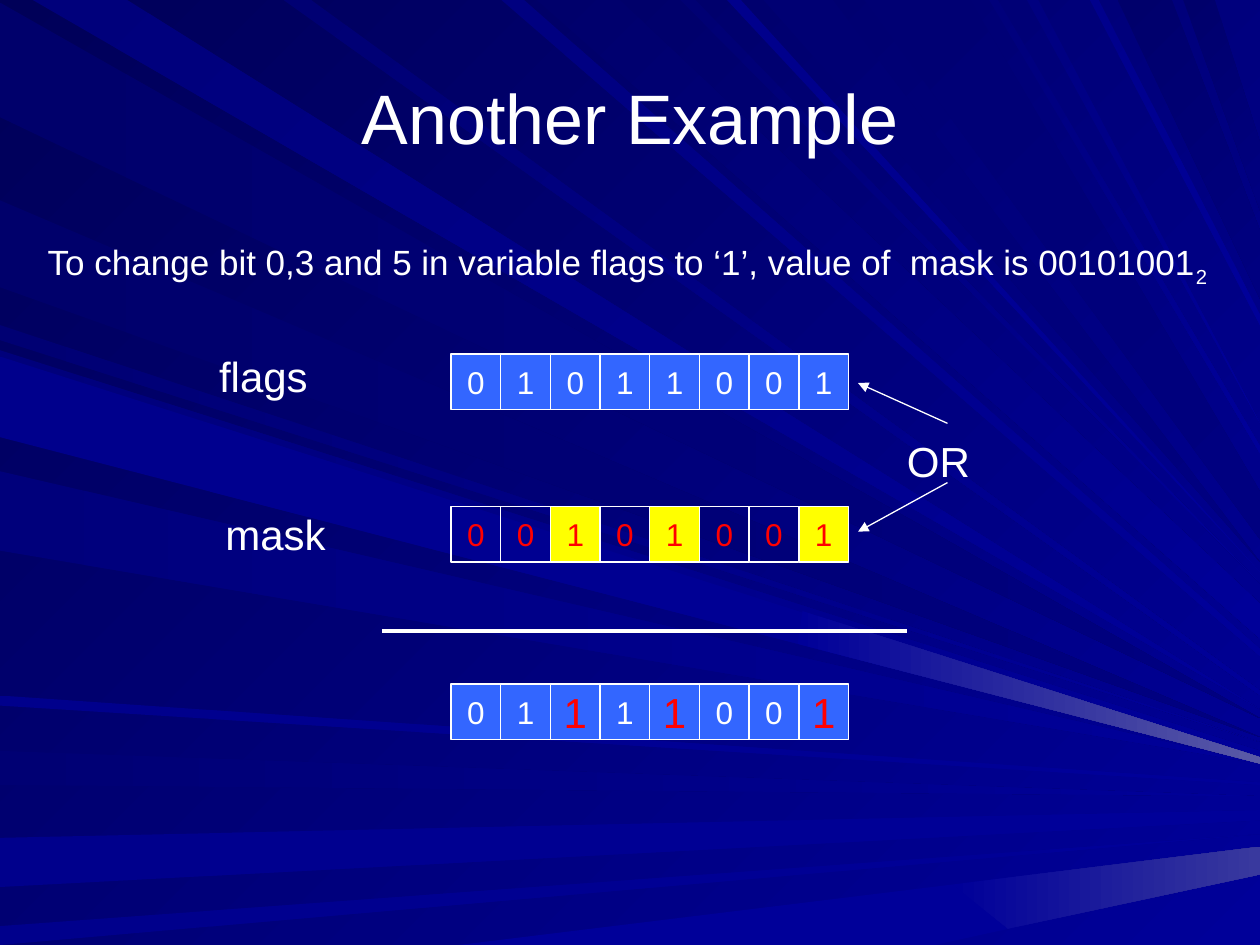
from lxml.etree import SubElement
from pptx import Presentation
from pptx.dml.color import RGBColor as Rgb
from pptx.enum.shapes import MSO_CONNECTOR as Connector, MSO_SHAPE as Shape
from pptx.enum.text import MSO_ANCHOR as Anchor, MSO_AUTO_SIZE as AutoSize, PP_ALIGN as Align
from pptx.oxml.ns import qn
from pptx.util import Inches, Pt

# The grid has 1000 columns and 750 rows, each a hundredth of an inch
UNIT = Inches(0.01)
COLUMNS, ROWS = 1000, 750
COLORS = {"white": "FFFFFF", "red": "FF0000", "yellow": "FFFF00", "blue": "3366FF",
          "night": "000058", "ink": "00006B", "dusk": "000073", "deep": "00007B",
          "navy": "000080", "cobalt": "00008C", "royal": "000099", "haze": "5A5AA6",
          "mist": "39399E"}

# Rays run from a span of one edge to a row on the right edge:
# span start, span end, row at the right, half the height there, colours
LEFT_RAYS = [
    (2, 93, 570, 0, "ink", "navy"),
    (596, 623, 632, 0, "dusk", "royal"),
    (665, 704, 647, 4, "cobalt", "royal"),
    (735, 750, 662, 0, "cobalt", "royal"),
    (258, 270, 589, 0, "dusk", "royal"),
    (159, 228, 585, 0, "ink", "navy"),
    (278, 342, 599, 3, "deep", "royal"),
    (374, 437, 606, 0, "deep", "royal"),
    (552, 560, 622, 1, "cobalt", "royal"),
    (283, 347, 604, 2, "cobalt", "royal"),
]
TOP_RAYS = [
    (26, 101, 563, 0, "deep", "royal"),
    (398, 416, 518, 3, "navy", "royal"),
    (426, 492, 493, 14, "ink", "royal"),
    (540, 552, 463, 0, "dusk", "royal"),
    (606, 661, 446, 0, "dusk", "navy"),
    (887, 930, 210, 27, "ink", "navy"),
    (939, 964, 140, 27, "ink", "navy"),
    (225, 247, 550, 2, "dusk", "royal"),
    (577, 588, 454, 0, "cobalt", "royal"),
    (686, 770, 409, 19, "dusk", "navy"),
    (785, 792, 357, 3, "deep", "royal"),
    (815, 824, 336, 0, "navy", "royal"),
    (865, 872, 254, 4, "cobalt", "royal"),
]
# Lit pieces at the right
SHARDS = [
    ([(364, 750), (756, 702), (801, 737), (742, 750)], "royal", None),
    ([(756, 702), (1000, 672), (1000, 694), (800, 737)], "royal", "mist"),
    ([(637, 485), (1000, 601), (1000, 606), (633, 511)], "royal", "haze"),
]


def rgb(color):
    return Rgb.from_string(COLORS[color])


def grid(*lengths):
    return [round(length * UNIT) for length in lengths]


def write(frame, text, size=18, color="white", align=Align.LEFT, anchor=Anchor.TOP,
          wrap=False, subscript=""):
    frame.word_wrap = wrap
    frame.vertical_anchor = anchor
    paragraph = frame.paragraphs[0]
    paragraph.alignment = align
    for part in filter(None, (text, subscript)):
        run = paragraph.add_run()
        run.text = part
        run.font.name = "Arial"
        run.font.size = Pt(size)
        run.font.color.rgb = rgb(color)
    if subscript:
        run.font._element.set("baseline", "-25000")


class Sketch:
    """Holds the current slide and the style of its elements."""

    cell_left, cell_pitch, cell_width, cell_height = 358, 39.43, 39.4, 44
    thin = 0.75

    def __init__(self, slide):
        self.slide = slide
        self.shapes = slide.shapes

    def paint(self, fill, start, end=None, angle=0):
        if start is None:
            fill.background()
        elif end is None:
            fill.solid()
            fill.fore_color.rgb = rgb(start)
        else:
            fill.gradient()
            fill.gradient_angle = -angle % 360
            for stop, color in zip(fill.gradient_stops, (start, end)):
                stop.color.rgb = rgb(color)

    def shard(self, points, start, end, angle=0):
        builder = self.shapes.build_freeform(*points[0], scale=UNIT)
        builder.add_line_segments(points[1:], close=True)
        shape = builder.convert_to_shape()
        shape.shadow.inherit = False
        shape.line.fill.background()
        self.paint(shape.fill, start, end, angle)

    def ray(self, first, last, row, spread, start, end, from_top=False):
        tips = [(COLUMNS, row - spread), (COLUMNS, row + spread)]
        if from_top:
            self.shard([(last, 0), *tips, (first, 0)], start, end, 45)
        else:
            self.shard([(0, first), *tips, (0, last)], start, end)

    def text(self, text, left, top, width, height, grow=True, **style):
        frame = self.shapes.add_textbox(*grid(left, top, width, height)).text_frame
        write(frame, text, **style)
        if grow:
            frame.auto_size = AutoSize.SHAPE_TO_FIT_TEXT

    def bit(self, index, top, digit, fill, **style):
        left = self.cell_left + index * self.cell_pitch
        shape = self.shapes.add_shape(
            Shape.RECTANGLE, *grid(left, top, self.cell_width, self.cell_height))
        shape.shadow.inherit = False
        self.paint(shape.fill, fill)
        shape.line.color.rgb = rgb("white")
        shape.line.width = Pt(self.thin)
        write(shape.text_frame, digit, align=Align.CENTER, anchor=Anchor.MIDDLE, **style)

    def byte(self, top, digits, plain, marked=None, marks=()):
        for index, digit in enumerate(digits):
            self.bit(index, top, digit, **(marked if index in marks else plain))

    def line(self, start, end, width=thin, arrow=False):
        connector = self.shapes.add_connector(Connector.STRAIGHT, *grid(*start, *end))
        connector.line.color.rgb = rgb("white")
        connector.line.width = Pt(width)
        properties = connector._element.spPr
        if arrow:
            SubElement(properties.find(qn("a:ln")), qn("a:tailEnd"), type="triangle")
        SubElement(properties, qn("a:effectLst"))


def main():
    presentation = Presentation()
    presentation.slide_width, presentation.slide_height = grid(COLUMNS, ROWS)
    slide = presentation.slides.add_slide(presentation.slide_layouts[6])
    sketch = Sketch(slide)

    # Background
    sketch.paint(slide.background.fill, "night", "royal", 45)
    for ray in LEFT_RAYS:
        sketch.ray(*ray)
    for ray in TOP_RAYS:
        sketch.ray(*ray, from_top=True)
    for shard in SHARDS:
        sketch.shard(*shard)

    # Title and task
    sketch.text("Another Example", 50, 30, 900, 125, grow=False, size=40,
                align=Align.CENTER, anchor=Anchor.MIDDLE, wrap=True)
    sketch.text("To change bit 0,3 and 5 in variable flags to ‘1’, value of  mask is 00101001",
                28, 186, 945, 44, size=20, wrap=True, subscript="2")

    # Operands and result; the mask picks the marked bits
    mask = "00101001"
    marks = [index for index, digit in enumerate(mask) if digit == "1"]
    plain = {"fill": "blue"}
    sketch.text("flags", 164, 273, 91, 50, size=24)
    sketch.byte(281, "01011001", plain)
    sketch.text("mask", 169, 399, 100, 50, size=24)
    sketch.byte(402, mask, {"fill": None, "color": "red"},
                {"fill": "yellow", "color": "red"}, marks)
    sketch.line((303, 501), (720, 501), width=2.25)
    sketch.byte(543, "01111001", plain, {"fill": "blue", "color": "red", "size": 24}, marks)

    # Operator
    sketch.text("OR", 710, 341, 70, 50, size=24)
    sketch.line((752, 336), (681, 304), arrow=True)
    sketch.line((752, 383), (681, 422), arrow=True)

    presentation.save("out.pptx")


if __name__ == "__main__":
    main()
